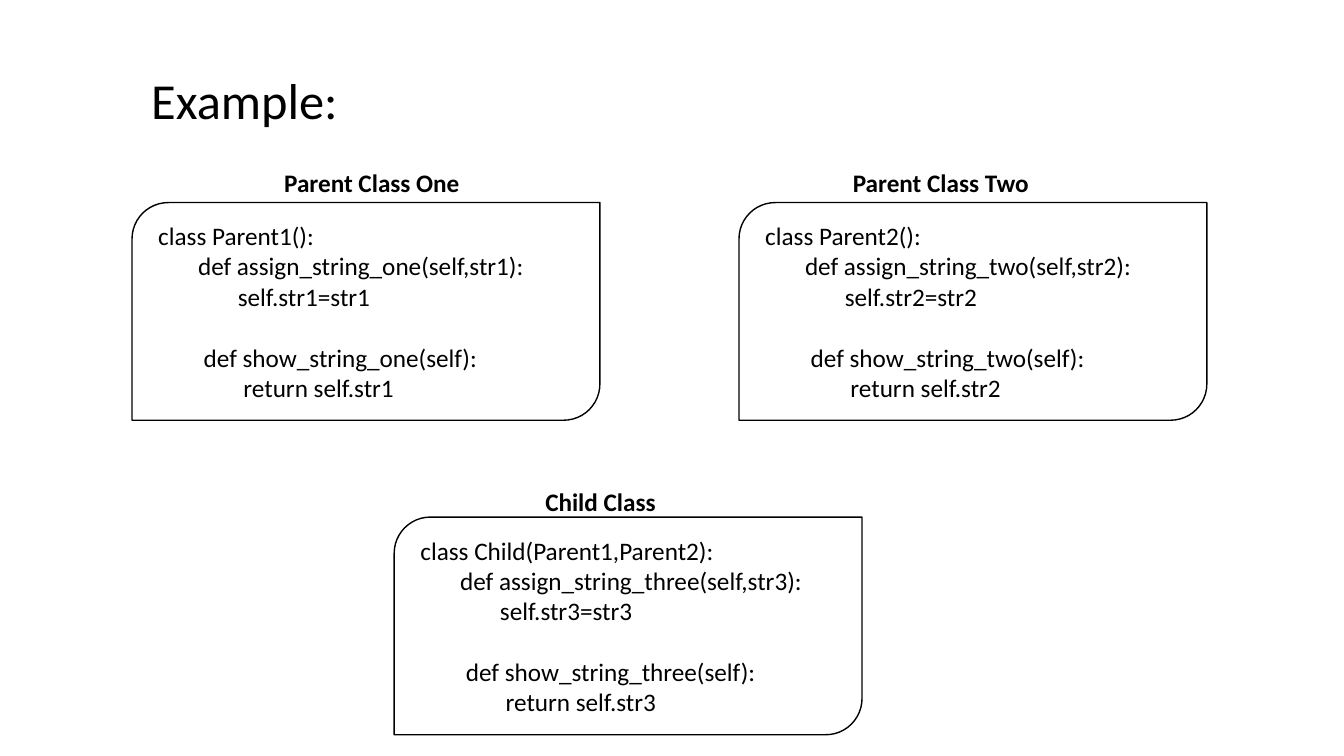
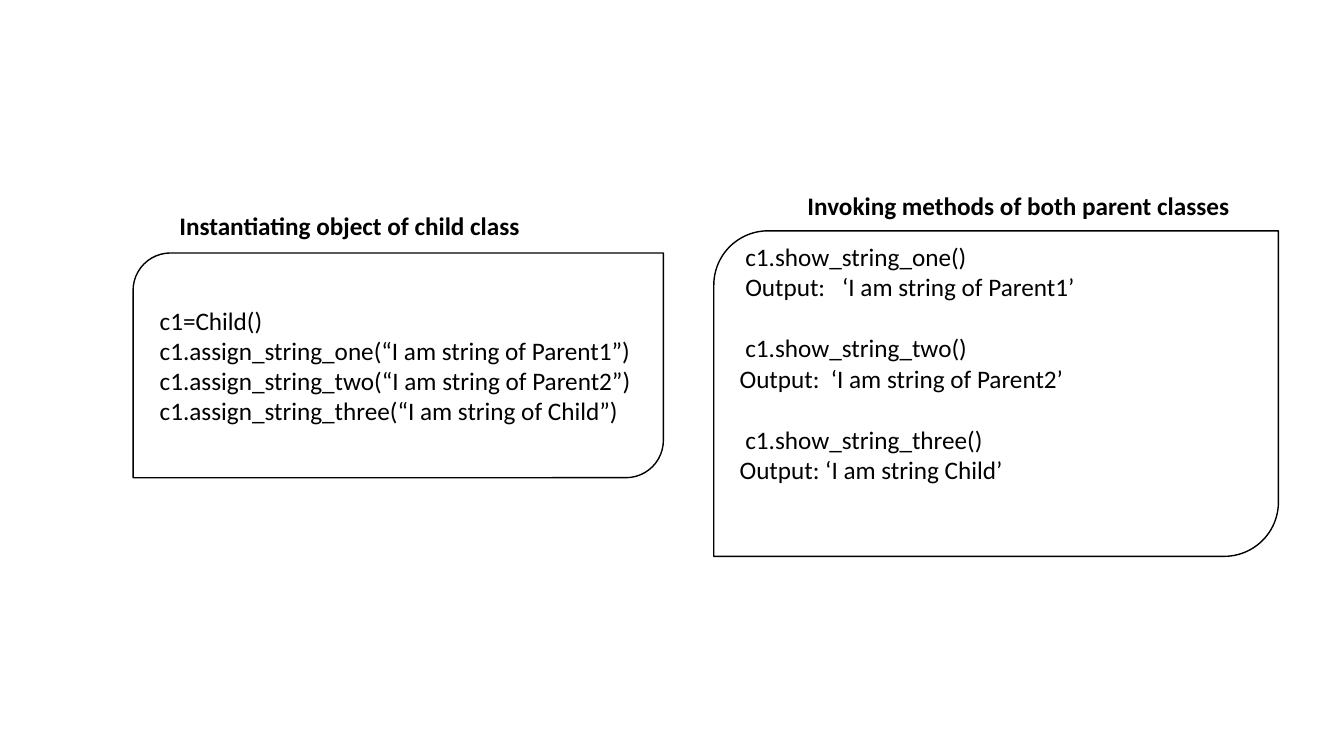
from dataclasses import dataclass

from pptx import Presentation
from pptx.dml.color import RGBColor as Rgb
from pptx.enum.shapes import MSO_SHAPE as Geo
from pptx.enum.text import MSO_ANCHOR as Anchor, MSO_AUTO_SIZE as Fit, PP_ALIGN as Align
from pptx.util import Inches, Pt


@dataclass(frozen=True)
class Theme:
    font: str = "Calibri"
    ink: Rgb = Rgb(0, 0, 0)
    paper: Rgb = Rgb(255, 255, 255)
    title: int = 36
    body: int = 18
    gap: int = 22
    line: int = 1


THEME = Theme()
TITLE_ONLY, BLANK = 5, 6


def style(par, size, bold=False):
    par.alignment = Align.LEFT
    for run in par.runs:
        font = run.font
        font.name = THEME.font
        font.size = Pt(size)
        font.bold = bold
        font.color.rgb = THEME.ink


def fill_line(frame, text, size, bold=False):
    frame.text = text
    frame.word_wrap = False
    frame.auto_size = Fit.SHAPE_TO_FIT_TEXT
    frame.vertical_anchor = Anchor.TOP
    style(frame.paragraphs[0], size, bold)


def add_title(slide, text, left, top, width, height):
    title = slide.shapes.title
    title.left, title.top = Inches(left), Inches(top)
    title.width, title.height = Inches(width), Inches(height)
    fill_line(title.text_frame, text, THEME.title)


def add_label(slide, text, left, top, width):
    box = slide.shapes.add_textbox(Inches(left), Inches(top), Inches(width), Inches(0.4))
    fill_line(box.text_frame, text, THEME.body, True)


def add_code(slide, blocks, left, top, width, height, foot=0.05):
    card = slide.shapes.add_shape(
        Geo.ROUND_2_DIAG_RECTANGLE, Inches(left), Inches(top), Inches(width), Inches(height)
    )
    card.shadow.inherit = False
    card.fill.solid()
    card.fill.fore_color.rgb = THEME.paper
    card.line.color.rgb = THEME.ink
    card.line.width = Pt(THEME.line)
    frame = card.text_frame
    frame.word_wrap = True
    frame.vertical_anchor = Anchor.MIDDLE
    frame.margin_bottom = Inches(foot)
    frame.text = "\n".join(line for block in blocks for line in block)
    for par in frame.paragraphs:
        style(par, THEME.body)
    start = 0
    for block in blocks[:-1]:
        start += len(block)
        frame.paragraphs[start].space_before = Pt(THEME.gap)


def class_code(head, word, num):
    return [
        [
            f" class {head}:",
            f"        def assign_string_{word}(self,str{num}):",
            f"               self.str{num}=str{num}",
        ],
        [
            f"         def show_string_{word}(self):",
            f"                return self.str{num}",
        ],
    ]


def class_slide(deck):
    slide = deck.slides.add_slide(deck.slide_layouts[TITLE_ONLY])
    add_title(slide, "Example:", 1.4, 0.64, 2.07, 0.71)
    cards = [
        ("Parent Class One", (2.72, 1.61, 1.96), "Parent1()", "one", (1.31, 2.01)),
        ("Parent Class Two", (8.36, 1.61, 1.96), "Parent2()", "two", (7.33, 2.01)),
        ("Child Class", (5.31, 4.78, 1.3), "Child(Parent1,Parent2)", "three", (3.91, 5.13)),
    ]
    for num, (label, spot, head, word, place) in enumerate(cards, 1):
        add_code(slide, class_code(head, word, num), *place, 4.64, 2.16)
        add_label(slide, label, *spot)


def call_slide(deck):
    slide = deck.slides.add_slide(deck.slide_layouts[BLANK])
    setup = [[
        " c1=Child()",
        " c1.assign_string_one(“I am string of Parent1”)",
        " c1.assign_string_two(“I am string of Parent2”)",
        " c1.assign_string_three(“I am string of Child”)",
    ]]
    calls = [
        [" c1.show_string_one()", " Output:   ‘I am string of Parent1’"],
        [" c1.show_string_two()", "Output:  ‘I am string of Parent2’"],
        [" c1.show_string_three()", "Output: ‘I am string Child’"],
    ]
    add_code(slide, setup, 1.32, 2.51, 5.26, 2.23)
    add_label(slide, "Instantiating object of child class", 1.68, 2.04, 3.61)
    add_code(slide, calls, 7.08, 2.29, 5.6, 3.23, foot=0.66)
    add_label(slide, "Invoking methods of both parent classes", 7.91, 1.84, 4.42)


def main():
    deck = Presentation()
    deck.slide_width, deck.slide_height = Inches(13.33), Inches(7.5)
    class_slide(deck)
    call_slide(deck)
    deck.save("out.pptx")


if __name__ == "__main__":
    main()
